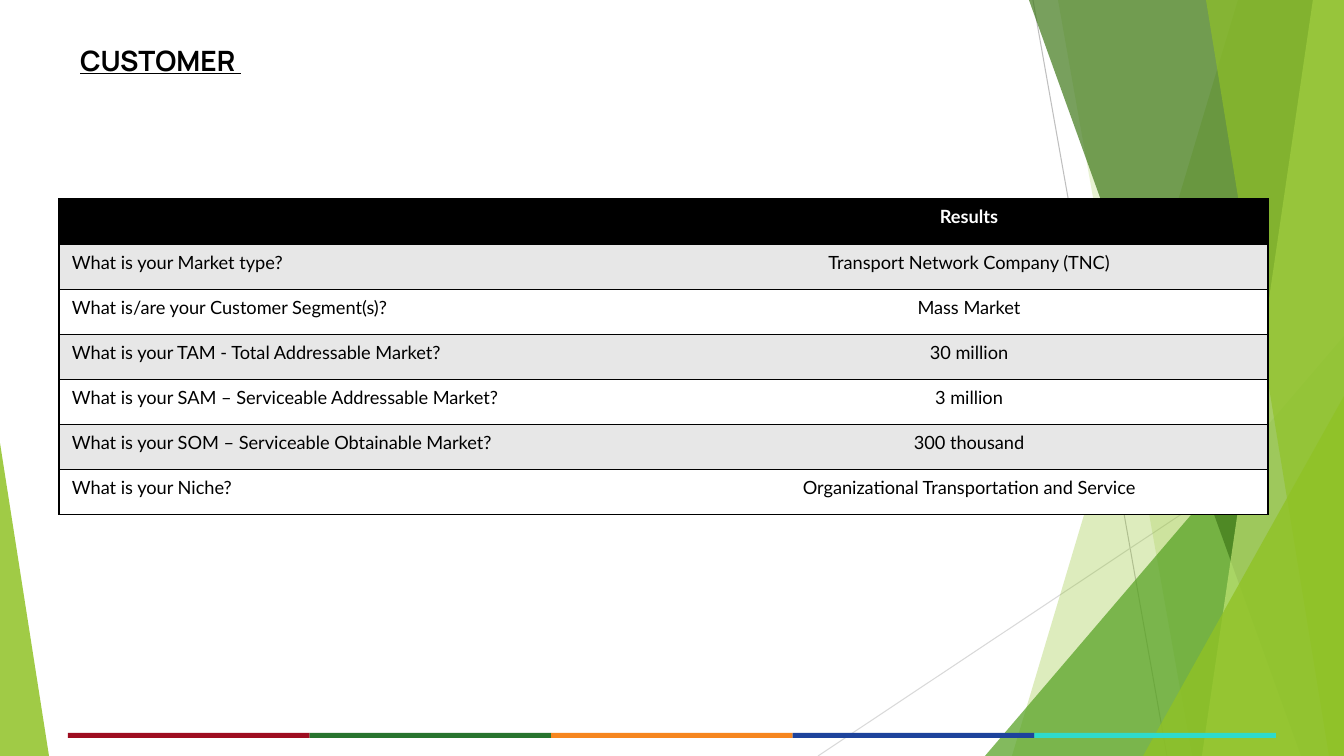
from dataclasses import dataclass

from lxml.etree import SubElement
from pptx import Presentation
from pptx.dml.color import RGBColor
from pptx.enum.shapes import MSO_CONNECTOR, MSO_SHAPE
from pptx.enum.text import MSO_ANCHOR, PP_ALIGN
from pptx.oxml import parse_xml
from pptx.oxml.ns import nsdecls, qn
from pptx.util import Pt

PX = 914400 / 100.8
SLIDE = (0, 0, 1344, 756)


@dataclass(frozen=True)
class Theme:
    """Colours, fonts and type sizes of the slide."""
    black: str = "000000"
    white: str = "FFFFFF"
    band: str = "E7E7E7"
    lime: str = "90C226"
    green: str = "54A021"
    forest: str = "3F7819"
    pale: str = "C0E474"
    rays: tuple = ("BFBFBF", "D9D9D9")
    stripes: tuple = ("9E0D20", "28742E", "F6861F", "1D439C", "2EDACC")
    title_font: str = "Manrope"
    body_font: str = "Lato"
    title_size: int = 20
    body_size: int = 13


THEME = Theme()
ROWS = (
    ("", "Results"),
    ("What is your Market type?", "Transport Network Company (TNC)"),
    ("What is/are your Customer Segment(s)?", "Mass Market"),
    ("What is your TAM - Total Addressable Market?", "30 million"),
    ("What is your SAM – Serviceable Addressable Market?", "3 million"),
    ("What is your SOM – Serviceable Obtainable Market?", "300 thousand"),
    ("What is your Niche?", "Organizational Transportation and Service"),
)


def emu(*lengths):
    """Turn px lengths into a list of EMU."""
    return [round(length * PX) for length in lengths]


def paint(shape, color, opacity=100):
    """Give a shape a plain fill with no line or shadow."""
    shape.shadow.inherit = False
    shape.line.fill.background()
    shape.fill.solid()
    shape.fill.fore_color.rgb = RGBColor.from_string(color)
    if opacity < 100:
        tint = shape.fill._xPr.find(".//" + qn("a:srgbClr"))
        SubElement(tint, qn("a:alpha")).set("val", str(opacity * 1000))


def style(para, font, size, color, bold):
    """Set the font of a whole paragraph."""
    para.font.name = font
    para.font.size = Pt(size)
    para.font.color.rgb = RGBColor.from_string(color)
    para.font.bold = bold


def pad(area):
    """Set the shared text margins of a cell or text frame."""
    area.margin_left, area.margin_right = emu(13, 13)
    area.margin_top, area.margin_bottom = emu(7, 7)


def add_ray(page, start, end, color):
    """Draw one thin line."""
    ray = page.shapes.add_connector(MSO_CONNECTOR.STRAIGHT, *emu(*start, *end))
    ray.line.color.rgb = RGBColor.from_string(color)
    ray.line.width = Pt(0.75)
    SubElement(ray._element.spPr, qn("a:effectLst"))


def add_ribbon(page, box, top_x, bottom_x, color, opacity):
    """Draw a slanted panel that reaches the right edge of the box."""
    left, top, width, height = box
    right, bottom = left + width, top + height
    outline = page.shapes.build_freeform(*emu(left + top_x, top), scale=1.0)
    corners = ((right, top), (right, bottom), (left + bottom_x, bottom))
    outline.add_line_segments([emu(*corner) for corner in corners], close=True)
    paint(outline.convert_to_shape(), color, opacity)


def add_wedge(page, box, apex, color, opacity):
    """Draw a right triangle with its apex at the given share of the width."""
    wedge = page.shapes.add_shape(MSO_SHAPE.ISOSCELES_TRIANGLE, *emu(*box))
    wedge.adjustments[0] = apex
    paint(wedge, color, opacity)


def add_backdrop(page, box):
    """Draw the green facets on both sides of the slide."""
    left, top, width, height = box
    right, bottom = left + width, top + height
    add_ray(page, (left + 1033, top), (left + 1167, bottom), THEME.rays[0])
    add_ray(page, (right, top + 406), (left + 818, bottom), THEME.rays[1])
    add_ribbon(page, box, 1238, 1012, THEME.lime, 30)
    add_ribbon(page, box, 1058, 1192, THEME.lime, 20)
    add_wedge(page, (right - 359, bottom - 420, 359, 420), 1, THEME.green, 72)
    add_ribbon(page, box, 1029, 1301, THEME.forest, 70)
    add_ribbon(page, box, 1313, 1202, THEME.pale, 70)
    add_ribbon(page, box, 1206, 1329, THEME.lime, 65)
    add_wedge(page, (right - 201, bottom - 360, 201, 360), 1, THEME.lime, 80)
    add_wedge(page, (left, bottom - 313, 49, 313), 0, THEME.lime, 85)


def add_stripes(page, box):
    """Draw the row of equal coloured stripes."""
    left, top, width, height = box
    step = width / len(THEME.stripes)
    for index, color in enumerate(THEME.stripes):
        place = emu(left + index * step, top, step, height)
        paint(page.shapes.add_shape(MSO_SHAPE.RECTANGLE, *place), color)


def add_title(page, box):
    """Write the underlined heading."""
    frame = page.shapes.add_textbox(*emu(*box)).text_frame
    frame.word_wrap = True
    frame.vertical_anchor = MSO_ANCHOR.MIDDLE
    pad(frame)
    para = frame.paragraphs[0]
    para.text = "CUSTOMER "
    style(para, THEME.title_font, THEME.title_size, THEME.black, True)
    para.font.underline = True


def add_borders(cell, open_side):
    """Rule a cell in black on every side but the open one."""
    solid = f'<a:solidFill><a:srgbClr val="{THEME.black}"/></a:solidFill>'
    properties = cell._tc.get_or_add_tcPr()
    for index, side in enumerate("LRTB"):
        fill = "<a:noFill/>" if side == open_side else solid
        properties.insert(index, parse_xml(
            f'<a:ln{side} {nsdecls("a")} w="12700">{fill}</a:ln{side}>'))


def add_results(page, box):
    """Build the table of market questions and answers."""
    table = page.shapes.add_table(len(ROWS), 2, *emu(*box)).table
    table.columns[0].width, table.columns[1].width = emu(611, box[2] - 611)
    for row, texts in enumerate(ROWS):
        header = row == 0
        fill = THEME.black if header else THEME.band if row % 2 else THEME.white
        for column, text in enumerate(texts):
            cell = table.cell(row, column)
            pad(cell)
            cell.fill.solid()
            cell.fill.fore_color.rgb = RGBColor.from_string(fill)
            add_borders(cell, "RL"[column])
            para = cell.text_frame.paragraphs[0]
            para.text = text
            para.alignment = PP_ALIGN.CENTER if column else PP_ALIGN.LEFT
            style(para, THEME.body_font, THEME.body_size,
                  THEME.white if header else THEME.black, header)


def main():
    """Build and save the deck."""
    deck = Presentation()
    deck.slide_width, deck.slide_height = emu(*SLIDE[2:])
    page = deck.slides.add_slide(deck.slide_layouts[6])
    add_backdrop(page, SLIDE)
    add_stripes(page, (68, 733, 1208, 5))
    add_title(page, (67, 36, 1159, 48))
    add_results(page, (59, 199, 1209, 316))
    deck.save("out.pptx")


if __name__ == "__main__":
    main()
